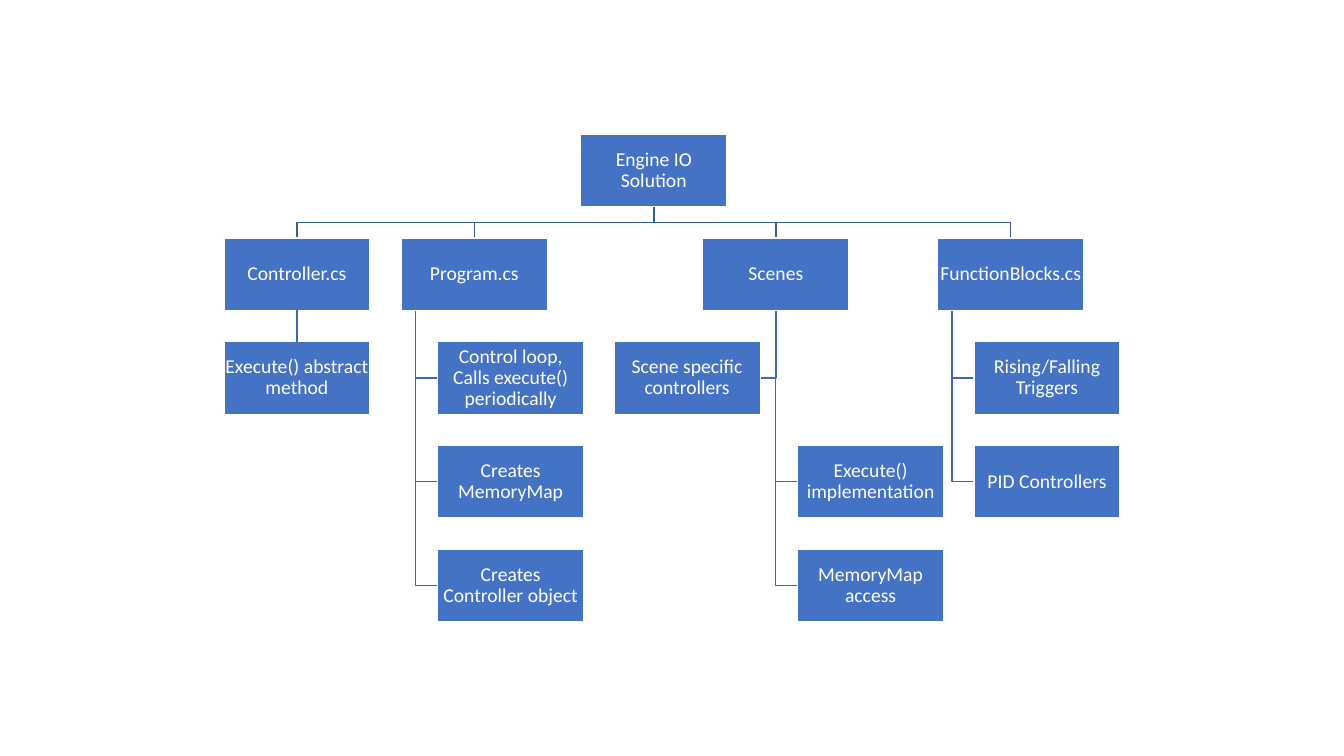
import pptx
import pptx.dml.color
import pptx.enum.shapes
import pptx.enum.text
import pptx.util
from lxml import etree

PX = 9144  # 100 px to the inch
BLUE = pptx.dml.color.RGBColor(0x44, 0x72, 0xC4)
DARK = pptx.dml.color.RGBColor(0x36, 0x5B, 0x9D)
MID = pptx.dml.color.RGBColor(0x3E, 0x67, 0xB2)
WHITE = pptx.dml.color.RGBColor(0xFF, 0xFF, 0xFF)

WIDE, HIGH = 145, 72
TOP, STEP = 133, 103
INSET = 14  # from the left side of a parent to its stem

ROOT = ("Engine IO Solution", 576)
# parent text, left, stem offset, children as (text, left, row)
BRANCHES = [
    ("Controller.cs", 222, None, [("Execute() abstract method", 222, 2)]),
    ("Program.cs", 398, INSET, [
        ("Control loop, Calls execute() periodically", 434, 2),
        ("Creates MemoryMap", 434, 3),
        ("Creates Controller object", 434, 4)]),
    ("Scenes", 697, WIDE / 2, [
        ("Scene specific controllers", 609, 2),
        ("Execute() implementation", 791, 3),
        ("MemoryMap access", 791, 4)]),
    ("FunctionBlocks.cs", 930, INSET, [
        ("Rising/Falling Triggers", 966, 2),
        ("PID Controllers", 966, 3)]),
]


def emu(px):
    return pptx.util.Emu(round(px * PX))


def row_top(row):
    return TOP + row * STEP


def put_text(frame, text, size=14, font="Calibri", color=WHITE, pad=1):
    frame.word_wrap = True
    frame.vertical_anchor = pptx.enum.text.MSO_ANCHOR.MIDDLE
    frame.margin_left = frame.margin_right = emu(pad)
    frame.margin_top = frame.margin_bottom = emu(pad)
    para = frame.paragraphs[0]
    para.alignment = pptx.enum.text.PP_ALIGN.CENTER
    para.line_spacing = 0.9
    run = para.add_run()
    run.text = text
    run.font.size = pptx.util.Pt(size)
    run.font.name = font
    run.font.color.rgb = color


def set_line(shape, color):
    shape.line.color.rgb = color
    shape.line.width = pptx.util.Pt(1)


def add_box(shapes, text, left, row):
    box = shapes.add_shape(
        pptx.enum.shapes.MSO_SHAPE.RECTANGLE,
        emu(left), emu(row_top(row)), emu(WIDE), emu(HIGH))
    box.shadow.inherit = False
    box.fill.solid()
    box.fill.fore_color.rgb = BLUE
    set_line(box, WHITE)
    put_text(box.text_frame, text)
    return box


def add_path(shapes, points, color):
    """Draw an open line with corners through px points."""
    spots = [(emu(x), emu(y)) for x, y in points]
    pen = shapes.build_freeform(*spots[0])
    pen.add_line_segments(spots[1:], close=False)
    path = pen.convert_to_shape()
    path.shadow.inherit = False
    path.fill.background()
    set_line(path, color)


def add_link(shapes, upper, lower):
    """Join the bottom of one box to the top of the next."""
    link = shapes.add_connector(
        pptx.enum.shapes.MSO_CONNECTOR.STRAIGHT, 0, 0, 0, 0)
    link.begin_connect(upper, 2)
    link.end_connect(lower, 0)
    set_line(link, MID)
    etree.SubElement(link.element.spPr, pptx.oxml.ns.qn("a:effectLst"))


def add_paths(shapes):
    start = ROOT[1] + WIDE / 2
    low, high = row_top(0) + HIGH, row_top(1)
    bend = (low + high) / 2
    for _, left, offset, kids in BRANCHES:
        end = left + WIDE / 2
        add_path(shapes, [(start, low), (start, bend), (end, bend), (end, high)], DARK)
        if offset is None:
            continue
        stem = left + offset
        for _, side, row in kids:
            edge = side if side > stem else side + WIDE
            mid = row_top(row) + HIGH / 2
            add_path(shapes, [(stem, high + HIGH), (stem, mid), (edge, mid)], MID)


def main():
    deck = pptx.Presentation()
    deck.slide_width, deck.slide_height = emu(1333), emu(750)
    shapes = deck.slides.add_slide(deck.slide_layouts[6]).shapes
    add_paths(shapes)
    add_box(shapes, *ROOT, 0)
    for text, left, offset, kids in BRANCHES:
        head = add_box(shapes, text, left, 1)
        boxes = [add_box(shapes, *kid) for kid in kids]
        if offset is None:
            add_link(shapes, head, boxes[0])
    deck.save("out.pptx")


if __name__ == "__main__":
    main()
